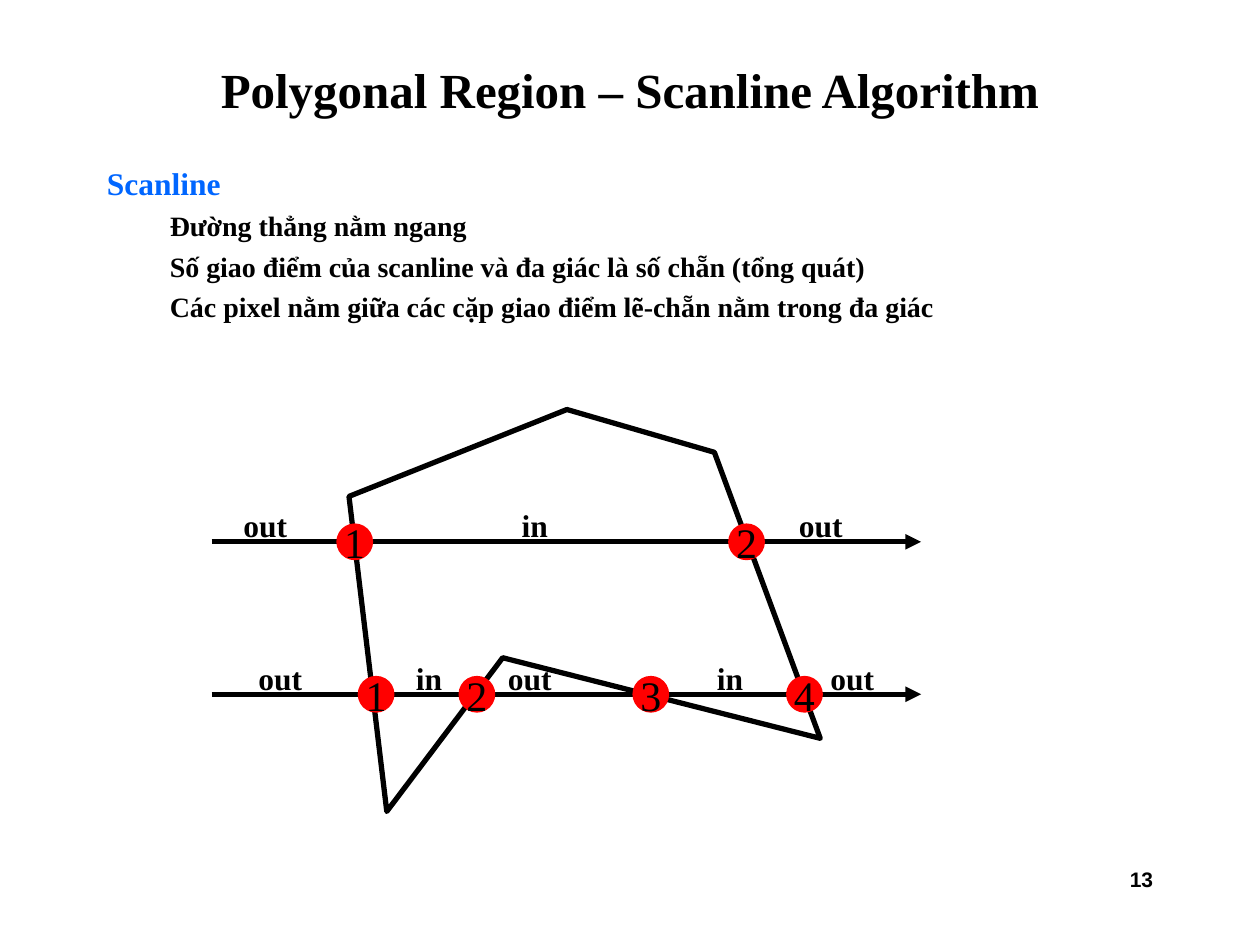
"""Build the scanline algorithm slide for polygonal regions."""
from pptx import Presentation
from pptx import util as u
from pptx.dml.color import RGBColor
from pptx.enum import shapes, text
from pptx.oxml.ns import qn
from lxml import etree

SERIF = "Times New Roman"
BLACK, WHITE, RED, BLUE = "000000", "FFFFFF", "FF0000", "0066FF"
LINE_WIDTH = 3
HIT_SIZE = 0.25
LABEL_WIDTH, LABEL_HEIGHT, LABEL_RISE = 0.67, 0.4, 0.33
CENTER = text.PP_ALIGN.CENTER


def color(value):
    """Turn a hex string into a colour."""
    return RGBColor.from_string(value)


def set_attributes(target, values):
    """Set every attribute named in a dict."""
    for name, value in values.items():
        setattr(target, name, value)


def write(paragraph, words, size, ink=BLACK, bold=True, font=SERIF, **formats):
    """Write formatted words into a paragraph."""
    paragraph.add_run().text = words
    set_attributes(paragraph, formats)
    font_values = {"name": font, "size": u.Pt(size), "bold": bold}
    for run in paragraph.runs:
        set_attributes(run.font, font_values)
        run.font.color.rgb = color(ink)


def add_text_box(slide, box, anchor=text.MSO_ANCHOR.TOP):
    """Add a wrapping text box and return its text frame."""
    frame = slide.shapes.add_textbox(*map(u.Inches, box)).text_frame
    set_attributes(frame, {"word_wrap": True, "vertical_anchor": anchor})
    return frame


def set_line(shape, ink):
    """Give a shape or connector a solid outline."""
    shape.line.color.rgb = color(ink)
    shape.line.width = u.Pt(LINE_WIDTH)


def fill_shape(shape, fill, ink):
    """Give a shape a flat fill and outline without shadow."""
    shape.shadow.inherit = False
    shape.fill.solid()
    shape.fill.fore_color.rgb = color(fill)
    set_line(shape, ink)


def add_title(slide, box, words):
    """Place the slide title."""
    frame = add_text_box(slide, box, text.MSO_ANCHOR.MIDDLE)
    write(frame.paragraphs[0], words, 28, alignment=CENTER)


def add_body(slide, box, heading, points):
    """Place the heading with its indented points."""
    frame = add_text_box(slide, box)
    write(frame.paragraphs[0], heading, 18, BLUE)
    for point in points:
        paragraph = frame.add_paragraph()
        properties = paragraph._p.get_or_add_pPr()
        properties.set("marL", str(u.Inches(0.81)))
        properties.set("indent", str(u.Inches(-0.31)))
        write(paragraph, point, 16, level=1, space_before=u.Pt(4))


def add_polygon(slide, left, top, points):
    """Draw the closed polygon from points relative to its region."""
    corners = [(u.Inches(left + x), u.Inches(top + y)) for x, y in points]
    builder = slide.shapes.build_freeform(*corners[0])
    builder.add_line_segments(corners[1:], close=True)
    polygon = builder.convert_to_shape()
    fill_shape(polygon, WHITE, BLACK)
    etree.SubElement(polygon.line._get_or_add_ln(), qn("a:round"))


def add_arrow(slide, left, right, y):
    """Draw a horizontal arrow pointing right."""
    ends = map(u.Inches, (left, y, right, y))
    arrow = slide.shapes.add_connector(shapes.MSO_CONNECTOR.STRAIGHT, *ends)
    set_line(arrow, BLACK)
    etree.SubElement(arrow.line._get_or_add_ln(), qn("a:tailEnd"), type="triangle")
    etree.SubElement(arrow._element.spPr, qn("a:effectLst"))


def add_hit(slide, left, y, number):
    """Mark a numbered intersection centred on a scanline."""
    box = map(u.Inches, (left, y - HIT_SIZE / 2, HIT_SIZE, HIT_SIZE))
    hit = slide.shapes.add_shape(shapes.MSO_SHAPE.OVAL, *box)
    fill_shape(hit, RED, RED)
    frame = hit.text_frame
    set_attributes(frame, {"word_wrap": False, "vertical_anchor": text.MSO_ANCHOR.MIDDLE})
    write(frame.paragraphs[0], str(number), 24, bold=False, alignment=CENTER)


def add_scanline(slide, left, right, y, hits, labels):
    """Draw a scanline with its intersections and alternating labels."""
    add_arrow(slide, left, right, y)
    for number, x in enumerate(hits, 1):
        add_hit(slide, left + x, y, number)
    for index, x in enumerate(labels):
        box = (left + x, y - LABEL_RISE, LABEL_WIDTH, LABEL_HEIGHT)
        frame = add_text_box(slide, box)
        write(frame.paragraphs[0], ("out", "in")[index % 2], 18, alignment=CENTER)


def add_diagram(slide, box):
    """Draw the polygon crossed by two scanlines."""
    left, top, width, _ = box
    points = [(2.82, 0), (1.09, 0.69), (1.39, 3.19), (2.31, 1.97), (4.83, 2.61), (3.99, 0.34)]
    scanlines = [
        (1.05, (1.01, 4.12), (0.09, 2.23, 4.5)),
        (2.26, (1.18, 1.98, 3.36, 4.58), (0.21, 1.39, 2.19, 3.78, 4.75)),
    ]
    add_polygon(slide, left, top, points)
    for y, hits, labels in scanlines:
        add_scanline(slide, left, left + width, top + y, hits, labels)


def add_slide_number(slide, box, number):
    """Place the slide number."""
    paragraph = add_text_box(slide, box).paragraphs[0]
    write(paragraph, str(number), 12, font="Arial", alignment=text.PP_ALIGN.RIGHT)


def main():
    """Build and save the presentation."""
    presentation = Presentation()
    set_attributes(presentation, {"slide_width": u.Inches(10), "slide_height": u.Inches(7.5)})
    slide = presentation.slides.add_slide(presentation.slide_layouts[6])
    add_title(slide, (0.75, 0.33, 8.5, 0.75), "Polygonal Region – Scanline Algorithm")
    add_body(slide, (0.75, 1.25, 8.5, 1.92), "Scanline", [
        "Đường thẳng nằm ngang",
        "Số giao điểm của scanline và đa giác là số chẵn (tổng quát)",
        "Các pixel nằm giữa các cặp giao điểm lẽ-chẵn nằm trong đa giác",
    ])
    add_diagram(slide, (1.68, 3.25, 5.63, 3.19))
    add_slide_number(slide, (7.17, 6.83, 2.08, 0.5), 13)
    presentation.save("out.pptx")


if __name__ == "__main__":
    main()
